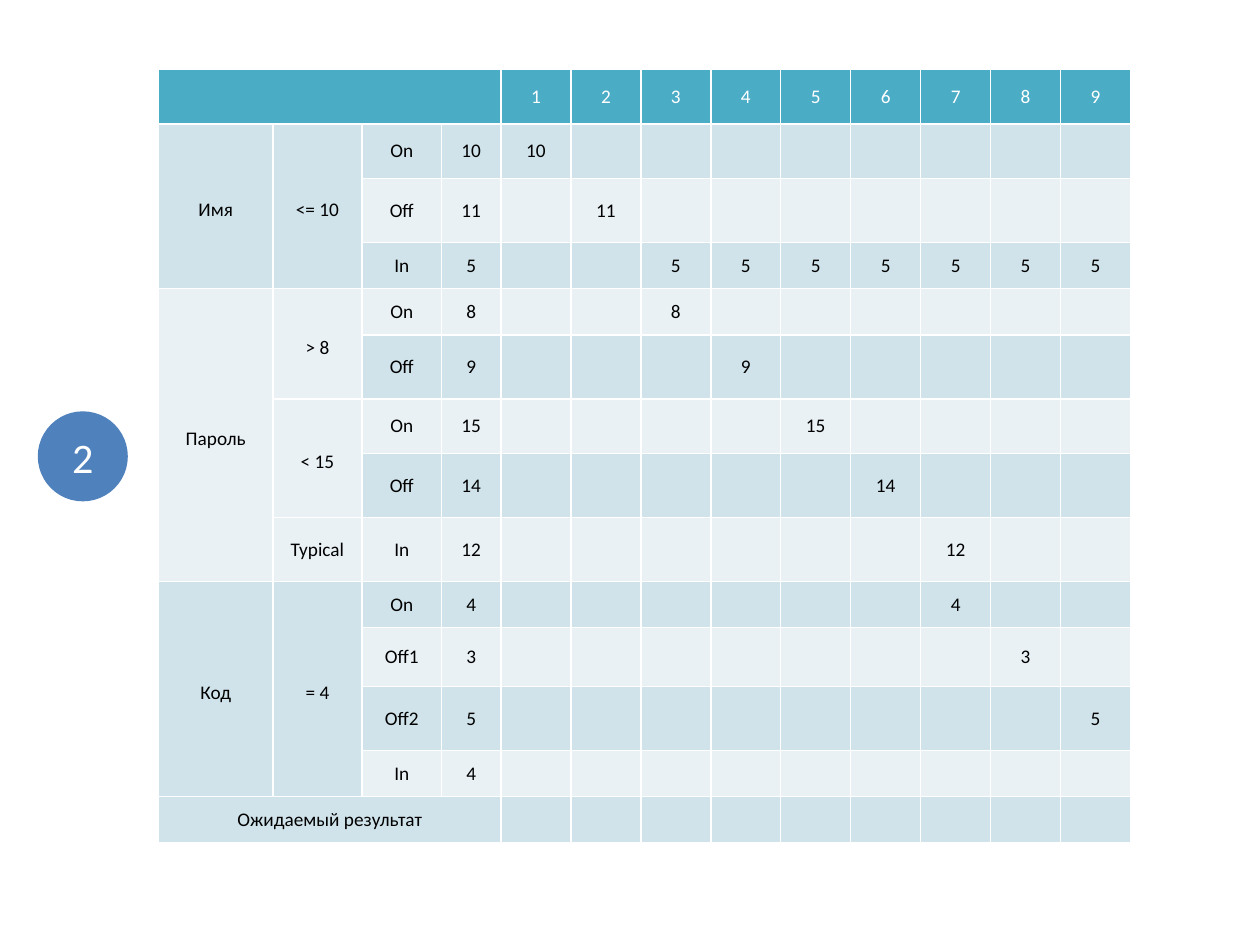
from dataclasses import dataclass

from lxml import etree
from pptx import Presentation
from pptx.dml.color import RGBColor
from pptx.enum.shapes import MSO_SHAPE
from pptx.enum.text import MSO_ANCHOR, PP_ALIGN
from pptx.oxml.ns import qn
from pptx.util import Cm, Pt

OVAL = MSO_SHAPE.OVAL
MIDDLE = MSO_ANCHOR.MIDDLE
CENTER = PP_ALIGN.CENTER

BLANK = 6
TESTS = range(1, 10)
LEAD = 4
WIDTHS = [2.3, 1.8, 1.6, 1.2] + [1.41] * len(TESTS)
SMALL, BASE, MEDIUM, LARGE = 0.93, 1.1, 1.19, 1.29

CASES = [
    ("On", 10, [1], BASE),
    ("Off", 11, [2], LARGE),
    ("In", 5, range(3, 10), SMALL),
    ("On", 8, [3], SMALL),
    ("Off", 9, [4], LARGE),
    ("On", 15, [5], BASE),
    ("Off", 14, [6], LARGE),
    ("In", 12, [7], LARGE),
    ("On", 4, [7], SMALL),
    ("Off1", 3, [8], MEDIUM),
    ("Off2", 5, [9], LARGE),
    ("In", 4, [], SMALL),
]

SPANS = [
    (0, 0, 1, LEAD, ""),
    (1, 0, 3, 1, "Имя"),
    (1, 1, 3, 1, "<= 10"),
    (4, 0, 5, 1, "Пароль"),
    (4, 1, 2, 1, "> 8"),
    (6, 1, 2, 1, "< 15"),
    (8, 1, 1, 1, "Typical"),
    (9, 0, 4, 1, "Код"),
    (9, 1, 4, 1, "= 4"),
    (len(CASES) + 1, 0, 1, LEAD, "Ожидаемый результат"),
]


@dataclass(frozen=True)
class Theme:
    font: str = "Calibri"
    white: str = "FFFFFF"
    black: str = "000000"
    head: str = "4BACC6"
    dark: str = "D0E3EA"
    light: str = "E9F1F5"
    badge: str = "4F81BD"
    small: float = 11
    large: float = 24
    rule: float = 1


def apply(target, values):
    for name, value in values.items():
        setattr(target, name, value)


def paint(fill, color):
    fill.solid()
    fill.fore_color.rgb = RGBColor.from_string(color)


class Deck:
    def __init__(self, theme, slide):
        self.theme = theme
        self.slide = slide

    def label(self, box, text, size, color, top=0):
        apply(box, {
            "margin_left": 0, "margin_right": 0,
            "margin_top": Cm(top), "margin_bottom": 0,
            "vertical_anchor": MIDDLE,
        })
        frame = getattr(box, "text_frame", box)
        para = frame.paragraphs[0]
        para.alignment = CENTER
        if text:
            run = para.add_run()
            run.text = text
            apply(run.font, {"name": self.theme.font, "size": Pt(size)})
            run.font.color.rgb = RGBColor.from_string(color)

    def border(self, cell):
        props = cell._tc.get_or_add_tcPr()
        for side in ("lnL", "lnR", "lnT", "lnB"):
            line = etree.SubElement(props, qn(f"a:{side}"), w=str(Pt(self.theme.rule)))
            fill = etree.SubElement(line, qn("a:solidFill"))
            etree.SubElement(fill, qn("a:srgbClr"), val=self.theme.white)

    def cell(self, cell, text, fill, color):
        self.border(cell)
        paint(cell.fill, fill)
        top = 0.15 if cell.span_height > 1 else 0
        self.label(cell, text, self.theme.small, color, top)

    def table(self, left, top, widths, heights, texts, spans):
        theme = self.theme
        frame = self.slide.shapes.add_table(
            len(heights), len(widths), Cm(left), Cm(top),
            Cm(sum(widths)), Cm(sum(heights)))
        table = frame.table
        apply(table, {"first_row": False, "horz_banding": False})
        for col, width in zip(table.columns, widths):
            col.width = Cm(width)
        for row, height in zip(table.rows, heights):
            row.height = Cm(height)
        for row, col, down, across, text in spans:
            if down * across > 1:
                last = table.cell(row + down - 1, col + across - 1)
                table.cell(row, col).merge(last)
            texts[row, col] = text
        for row in range(len(heights)):
            fill = theme.dark if row % 2 else theme.light
            color = theme.black
            if row == 0:
                fill, color = theme.head, theme.white
            for col in range(len(widths)):
                self.cell(table.cell(row, col), texts.get((row, col)), fill, color)

    def badge(self, left, top, size, text):
        theme = self.theme
        shape = self.slide.shapes.add_shape(
            OVAL, Cm(left), Cm(top), Cm(size), Cm(size))
        shape.shadow.inherit = False
        paint(shape.fill, theme.badge)
        paint(shape.line.fill, theme.badge)
        shape.line.width = Pt(theme.rule)
        self.label(shape.text_frame, text, theme.large, theme.white)


def main():
    show = Presentation()
    apply(show, {"slide_width": Cm(25.4), "slide_height": Cm(19.05)})
    deck = Deck(Theme(), show.slides.add_slide(show.slide_layouts[BLANK]))

    texts = {(0, LEAD + test - 1): str(test) for test in TESTS}
    for row, (label, value, tests, _) in enumerate(CASES, 1):
        texts[row, 2] = label
        for col in [3] + [LEAD + test - 1 for test in tests]:
            texts[row, col] = str(value)

    heights = [BASE] + [case[-1] for case in CASES] + [SMALL]
    deck.table(3.2, 1.4, WIDTHS, heights, texts, SPANS)
    deck.badge(0.78, 8.31, 1.78, "2")
    show.save("out.pptx")


if __name__ == "__main__":
    main()
